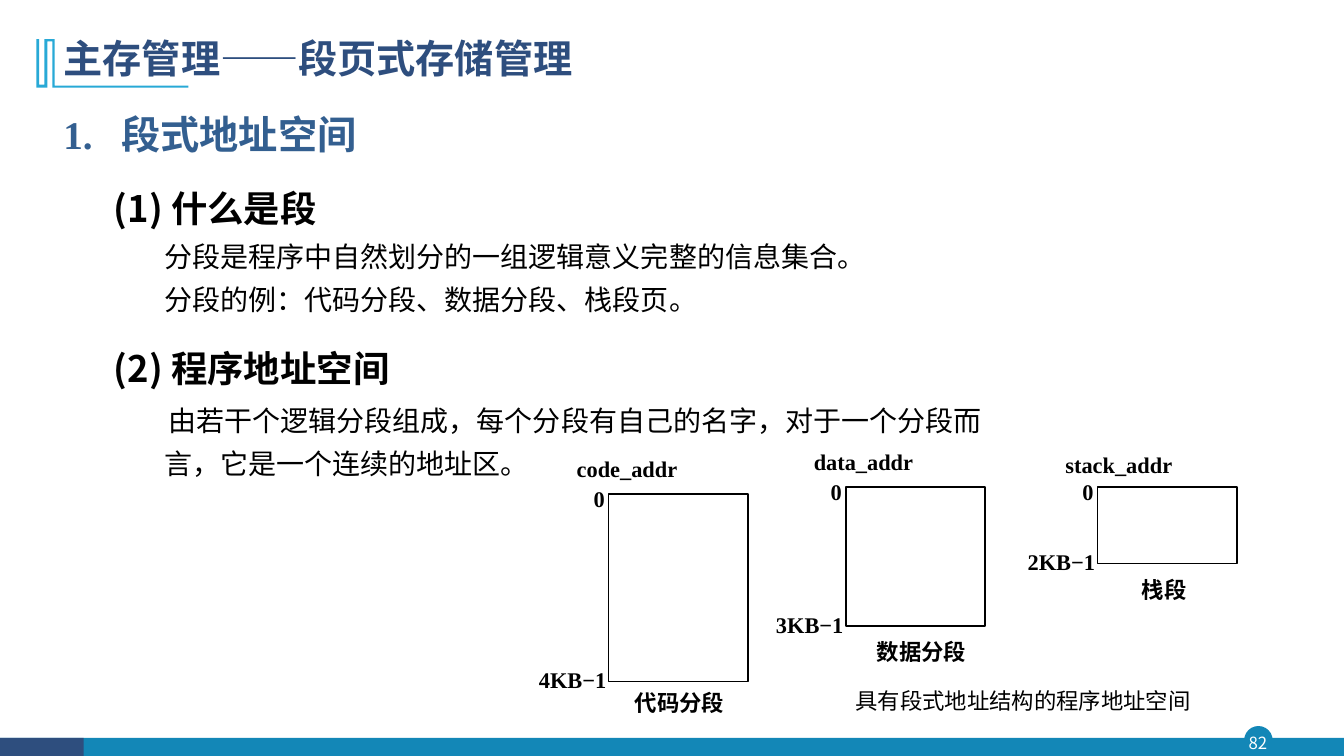
from dataclasses import dataclass

from lxml import etree
from pptx import Presentation
from pptx.dml.color import RGBColor
from pptx.enum import shapes, text
from pptx.oxml import ns
from pptx.util import Pt


@dataclass(frozen=True)
class Theme:
    sans: str = "Noto Sans CJK SC"
    serif: str = "Times New Roman"
    navy: str = "2E4E7E"
    heading_blue: str = "335F90"
    teal: str = "1387B7"
    sky: str = "28A9D6"
    black: str = "000000"
    white: str = "FFFFFF"
    title: int = 28
    heading: int = 26
    body: int = 20
    label: int = 16
    number: int = 12


@dataclass(frozen=True)
class Segment:
    left: float
    top: float
    height: float
    name: str
    name_rise: float
    end: str
    caption: str
    caption_shift: float
    caption_drop: float


THEME = Theme()
SEGMENT_WIDTH = 99.5
LABEL_HEIGHT = 26.6

SEGMENTS = [
    Segment(434.9, 352.8, 134, "code_addr", 31.7, "4KB−1", "代码分段", 11.5, 2),
    Segment(604.2, 347.8, 99.5, "data_addr", 31.7, "3KB−1", "数据分段", 15, 5),
    Segment(784, 347.8, 54.7, "stack_addr", 29.5, "2KB−1", "栈段", 24.5, 5),
]

BODY = [
    ("由若干个逻辑分段组成，每个分段有自己的名字，对于一个分段而", 75, 3),
    ("言，它是一个连续的地址区。", 72, 0),
]


def add_span(para, words, size, color, font, bold=False):
    span = para.add_run()
    span.text = words
    span.font.size = Pt(size)
    span.font.bold = bold
    span.font.name = font
    span.font.color.rgb = RGBColor.from_string(color)
    latin = span.font._element.find(ns.qn("a:latin"))
    east_asian = etree.Element(ns.qn("a:ea"), typeface=THEME.sans)
    latin.addnext(east_asian)


def paint(shape, fill=None, line=None):
    shape.shadow.inherit = False
    if fill:
        shape.fill.solid()
        shape.fill.fore_color.rgb = RGBColor.from_string(fill)
    else:
        shape.fill.background()
    if line:
        shape.line.color.rgb = RGBColor.from_string(line)
        shape.line.width = Pt(1)
    else:
        shape.line.fill.background()


def add_block(parent, kind, left, top, width, height, fill=None, line=None):
    shape = parent.add_shape(kind, Pt(left), Pt(top), Pt(width), Pt(height))
    paint(shape, fill, line)


def add_label(parent, words, left, top, width, bold=True):
    box = parent.add_textbox(Pt(left), Pt(top), Pt(width), Pt(LABEL_HEIGHT))
    frame = box.text_frame
    frame.word_wrap = True
    frame.margin_top = frame.margin_bottom = 0
    frame.vertical_anchor = text.MSO_ANCHOR.MIDDLE
    add_span(frame.paragraphs[0], words, THEME.label, THEME.black, THEME.serif, bold)


def add_title_mark(page):
    points = [
        (39, 28), (39, 61.2), (134.6, 61.2), (134.6, 62.6), (37.4, 62.6),
        (37.4, 29.5), (33.8, 29.5), (33.8, 62.6), (26, 62.6), (26, 28),
        (28, 28), (28, 60.5), (31.7, 60.5), (31.7, 28),
    ]
    outline = [(Pt(x), Pt(y)) for x, y in points]
    builder = page.shapes.build_freeform(*outline[0])
    builder.add_line_segments(outline[1:], close=True)
    paint(builder.convert_to_shape(), THEME.sky)


def add_title(page):
    title = page.shapes.title
    title.left, title.top, title.width, title.height = Pt(38.2), Pt(23), Pt(755.3), Pt(40.3)
    frame = title.text_frame
    frame.vertical_anchor = text.MSO_ANCHOR.MIDDLE
    para = frame.paragraphs[0]
    para.alignment = text.PP_ALIGN.LEFT
    para.line_spacing = 0.9
    add_span(para, "主存管理——段页式存储管理", THEME.title, THEME.navy, THEME.sans, True)


def add_footer(page):
    add_block(page.shapes, shapes.MSO_SHAPE.OVAL, 889.2, 519.1, 19.4, 19.4, THEME.teal, THEME.teal)
    add_block(page.shapes, shapes.MSO_SHAPE.RECTANGLE, 0, 527, 960, 13, THEME.teal)
    add_block(page.shapes, shapes.MSO_SHAPE.RECTANGLE, 0, 527, 59.8, 13, THEME.navy)
    box = page.shapes.add_textbox(Pt(887), Pt(519.1), Pt(23), Pt(22.3))
    frame = box.text_frame
    frame.word_wrap = True
    frame.margin_left = frame.margin_right = frame.margin_top = frame.margin_bottom = 0
    frame.vertical_anchor = text.MSO_ANCHOR.MIDDLE
    para = frame.paragraphs[0]
    para.alignment = text.PP_ALIGN.CENTER
    add_span(para, "82", THEME.number, THEME.white, THEME.sans)


def add_line(para, words, indent, spacing, size, font, color=THEME.black, bold=False, before=0, hanging=0):
    properties = para._p.get_or_add_pPr()
    properties.set("marL", str(Pt(indent)))
    properties.set("indent", str(-Pt(hanging)))
    para.line_spacing = Pt(spacing)
    para.space_before = Pt(before)
    add_span(para, words, size, color, font, bold)


def add_outline(page):
    box = page.shapes.add_textbox(Pt(38.2), Pt(65.5), Pt(690.5), Pt(289.4))
    frame = box.text_frame
    frame.word_wrap = True

    def add_heading(words):
        add_line(frame.add_paragraph(), words, 36, 52, THEME.heading, THEME.sans, bold=True)

    def add_body(words, indent=72, before=0):
        add_line(frame.add_paragraph(), words, indent, 31, THEME.body, THEME.serif, before=before)

    add_line(frame.paragraphs[0], "1.\t段式地址空间", 41.5, 43, THEME.title, THEME.serif,
             THEME.heading_blue, True, hanging=41.5)
    add_heading("(1) 什么是段")
    add_body("分段是程序中自然划分的一组逻辑意义完整的信息集合。")
    add_body("分段的例：代码分段、数据分段、栈段页。")
    add_heading("(2) 程序地址空间")
    for words, indent, before in BODY:
        add_body(words, indent, before)


def add_segment(page, segment):
    group = page.shapes.add_group_shape().shapes
    left, top = segment.left, segment.top
    bottom = top + segment.height
    add_block(group, shapes.MSO_SHAPE.RECTANGLE, left, top, SEGMENT_WIDTH, segment.height, line=THEME.black)
    add_label(group, segment.name, left - 30, top - segment.name_rise, 102)
    add_label(group, segment.end, left - 57, bottom - 14.5, 73)
    add_label(group, "0", left - 18, top - 10, 28)
    add_label(group, segment.caption, left + segment.caption_shift, bottom + segment.caption_drop, 82)


def main():
    deck = Presentation()
    deck.slide_width, deck.slide_height = Pt(960), Pt(540)
    page = deck.slides.add_slide(deck.slide_layouts[5])
    add_footer(page)
    add_title_mark(page)
    add_title(page)
    add_outline(page)
    for segment in SEGMENTS:
        add_segment(page, segment)
    add_label(page.shapes, "具有段式地址结构的程序地址空间", 604.1, 487.4, 267, bold=False)
    deck.save("out.pptx")


if __name__ == "__main__":
    main()
